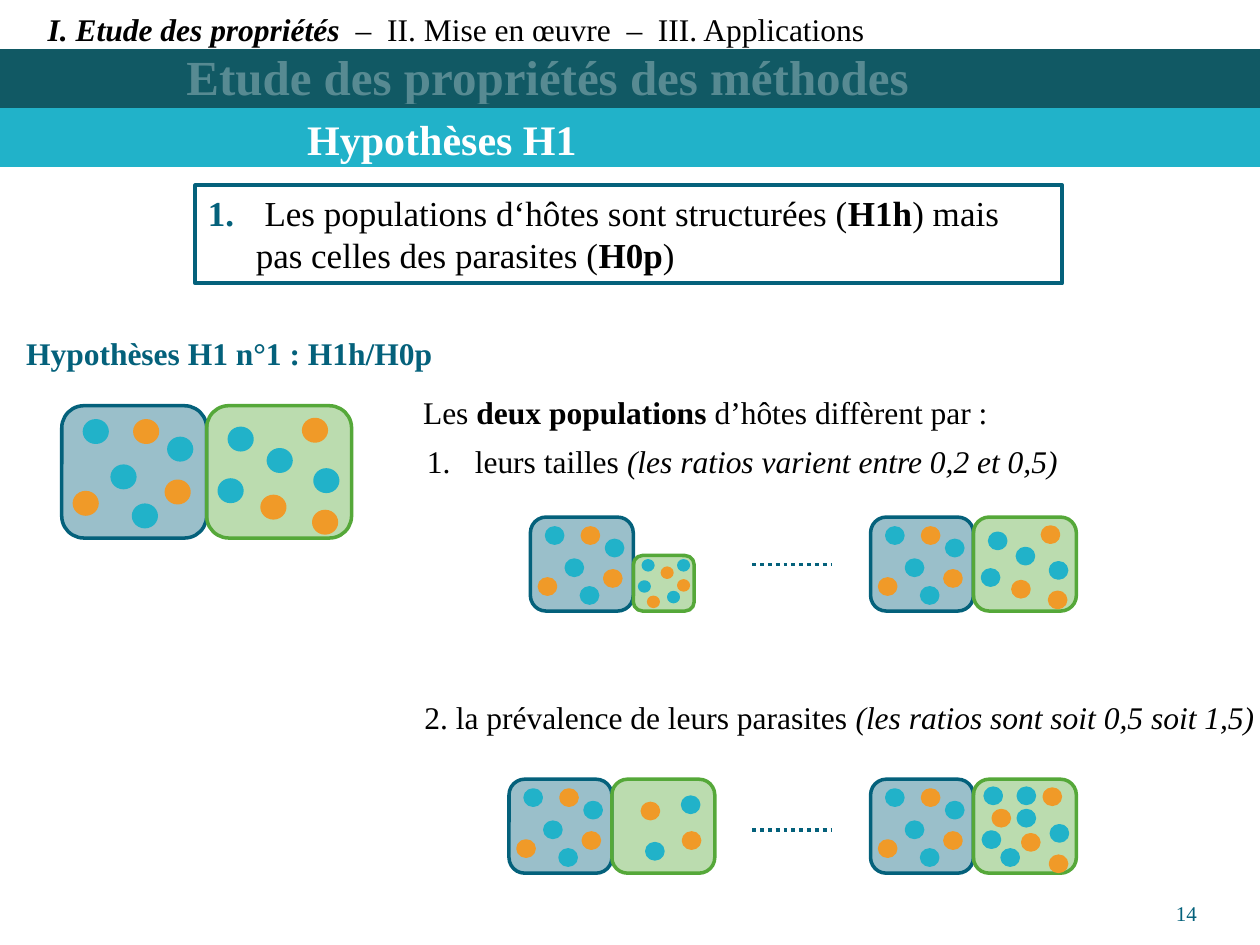
from lxml import etree
from pptx import Presentation
from pptx.dml.color import RGBColor
from pptx.enum.dml import MSO_LINE
from pptx.enum.shapes import MSO_CONNECTOR, MSO_SHAPE
from pptx.enum.text import MSO_ANCHOR, MSO_AUTO_SIZE, PP_ALIGN
from pptx.oxml.ns import qn
from pptx.util import Inches, Pt

RECTANGLE, ROUNDED, OVAL = MSO_SHAPE.RECTANGLE, MSO_SHAPE.ROUNDED_RECTANGLE, MSO_SHAPE.OVAL
TOP, BOTTOM = MSO_ANCHOR.TOP, MSO_ANCHOR.BOTTOM
LEFT, CENTER, RIGHT = PP_ALIGN.LEFT, PP_ALIGN.CENTER, PP_ALIGN.RIGHT
NO_AUTOFIT = MSO_AUTO_SIZE.NONE
STRAIGHT, DOTTED = MSO_CONNECTOR.STRAIGHT, MSO_LINE.ROUND_DOT

FONT = "Times New Roman"
BLACK = RGBColor(0x00, 0x00, 0x00)
WHITE = RGBColor(0xFF, 0xFF, 0xFF)
DARK_TEAL = RGBColor(0x11, 0x59, 0x64)
TURQUOISE = RGBColor(0x21, 0xB2, 0xC9)
BLUE = RGBColor(0x04, 0x61, 0x7B)
GREEN = RGBColor(0x55, 0xA8, 0x39)
ORANGE = RGBColor(0xF0, 0x9A, 0x28)


def paint(shape, color, opacity=100):
    shape.shadow.inherit = False
    shape.fill.solid()
    shape.fill.fore_color.rgb = color
    shape.line.color.rgb = color
    shape.line.width = Pt(2)
    if opacity < 100:
        fill_color = shape.fill._xPr.find(qn("a:solidFill"))[0]
        etree.SubElement(fill_color, qn("a:alpha")).set("val", str(opacity * 1000))


def write(shape, runs, size, align=LEFT, anchor=TOP, wrap=True):
    """Fill a shape with one paragraph of (text, colour, bold, italic) runs."""
    frame = shape.text_frame
    frame.auto_size = NO_AUTOFIT
    frame.word_wrap = wrap
    frame.vertical_anchor = anchor
    paragraph = frame.paragraphs[0]
    paragraph.alignment = align
    for text, color, bold, italic in runs:
        run = paragraph.add_run()
        run.text = text
        run.font.name = FONT
        run.font.size = Pt(size)
        run.font.color.rgb = color
        run.font.bold = bold
        run.font.italic = italic
    return paragraph


presentation = Presentation()
presentation.slide_width = Inches(10)
presentation.slide_height = Inches(7.5)
slide = presentation.slides.add_slide(presentation.slide_layouts[1])
shapes = slide.shapes
title, body = slide.placeholders

# Header bars: the title lies between the dark bar and its translucent veil
bars = []
for top, color, opacity in [(0.4, DARK_TEAL, 100), (0.87, TURQUOISE, 100), (0.4, DARK_TEAL, 70)]:
    bar = shapes.add_shape(RECTANGLE, Inches(0), Inches(top), Inches(10), Inches(0.44))
    paint(bar, color, opacity)
    bars.append(bar)
title._element.addprevious(bars[0]._element)

title.left, title.top, title.width, title.height = Inches(1.48), Inches(0.46), Inches(7.36), Inches(0.38)
frame = title.text_frame
frame.margin_left = frame.margin_right = frame.margin_bottom = 0
frame.margin_top = Inches(0.05)
write(title, [("Etude des propriétés des méthodes", WHITE, True, False)], 28, anchor=BOTTOM)

# Framed hypothesis
body.left, body.top, body.width, body.height = Inches(1.55), Inches(1.47), Inches(6.88), Inches(0.78)
body.line.color.rgb = BLUE
body.line.width = Pt(2.25)
hypothesis = write(body, [
    (" ", BLUE, True, False),
    ("Les populations d‘hôtes sont structurées (", BLACK, False, False),
    ("H1h", BLACK, True, False),
    (") mais pas celles des parasites (", BLACK, False, False),
    ("H0p", BLACK, True, False),
    (")", BLACK, False, False),
], 20)

# Text boxes: left, top, width, height, size, alignment, wrap, runs
texts = [
    (-0.02, -0.12, 10.01, 0.52, 18, LEFT, True, [
        ("I. Etude des propriétés  ", BLACK, True, True),
        ("–  II. Mise en œuvre  –  III. Applications", BLACK, False, False)]),
    (2.34, 0.85, 7.66, 0.51, 24, LEFT, True, [("Hypothèses H1", WHITE, True, False)]),
    (0.09, 2.6, 3.46, 0.4, 18, CENTER, False, [("Hypothèses H1 n°1 : H1h/H0p", BLUE, True, False)]),
    (3.26, 3.07, 4.73, 0.4, 18, LEFT, False, [
        ("Les ", BLACK, False, False),
        ("deux populations ", BLACK, True, False),
        ("d’hôtes diffèrent par :", BLACK, False, False)]),
    (3.29, 3.46, 6.79, 0.4, 18, LEFT, True, [
        ("leurs tailles ", BLACK, False, False),
        ("(les ratios varient entre 0,2 et 0,5)", BLACK, False, True)]),
    (3.27, 5.49, 6.86, 0.4, 18, LEFT, True, [
        ("2. la prévalence de leurs parasites ", BLACK, False, False),
        ("(les ratios sont soit 0,5 soit 1,5)", BLACK, False, True)]),
]
paragraphs = []
for left, top, width, height, size, align, wrap, runs in texts:
    box = shapes.add_textbox(Inches(left), Inches(top), Inches(width), Inches(height))
    paragraphs.append(write(box, runs, size, align, wrap=wrap))

outline, sizes = paragraphs[0], paragraphs[4]
outline.line_spacing = 1.5
outline.space_before = Pt(6)
outline._p.get_or_add_pPr().set("marL", str(Inches(0.3)))

# Automatic numbers
for paragraph in (hypothesis, sizes):
    properties = paragraph._p.get_or_add_pPr()
    properties.set("marL", str(Inches(0.38)))
    properties.set("indent", str(-Inches(0.38)))
    etree.SubElement(properties, qn("a:buFont")).set("typeface", "+mj-lt")
    etree.SubElement(properties, qn("a:buAutoNum")).set("type", "arabicPeriod")

# Parasites of each host population, placed in a full-size cell of 1.15 by 1.05
BLUE_HOSTS = {TURQUOISE: [(0.85, 0.26), (0.18, 0.12), (0.4, 0.48), (0.57, 0.79)],
              ORANGE: [(0.58, 0.12), (0.83, 0.6), (0.1, 0.69)]}
GREEN_HOSTS = {TURQUOISE: [(0.18, 0.18), (0.1, 0.59), (0.86, 0.51), (0.49, 0.35)],
               ORANGE: [(0.77, 0.11), (0.85, 0.84), (0.44, 0.72)]}
SMALL_HOSTS = {TURQUOISE: [(0.19, 0.1), (0.12, 0.5), (0.67, 0.7), (0.86, 0.1)],
               ORANGE: [(0.86, 0.48), (0.29, 0.79), (0.55, 0.24)]}
SPARSE_HOSTS = {TURQUOISE: [(0.39, 0.72), (0.79, 0.2)],
                ORANGE: [(0.8, 0.6), (0.34, 0.27)]}
DENSE_HOSTS = {TURQUOISE: [(0.13, 0.1), (0.11, 0.59), (0.87, 0.52), (0.5, 0.35), (0.5, 0.1), (0.32, 0.79)],
               ORANGE: [(0.79, 0.11), (0.86, 0.86), (0.55, 0.62), (0.22, 0.35)]}

# Pairs of populations: left, bottom, blue scale, green scale, green parasites
pairs = [
    (0.49, 4.27, 1, 1, GREEN_HOSTS),
    (4.21, 4.85, 0.71, 0.42, SMALL_HOSTS),
    (6.91, 4.85, 0.71, 0.71, GREEN_HOSTS),
    (4.04, 6.93, 0.71, 0.71, SPARSE_HOSTS),
    (6.91, 6.93, 0.71, 0.71, DENSE_HOSTS),
]
for pair_left, bottom, blue_scale, green_scale, green_parasites in pairs:
    group = shapes.add_group_shape()
    cells = [(pair_left, blue_scale, BLUE, BLUE_HOSTS),
             (pair_left + 1.15 * blue_scale, green_scale, GREEN, green_parasites)]
    for left, scale, color, parasites in cells:
        top = bottom - 1.05 * scale
        cell = group.shapes.add_shape(ROUNDED, Inches(left), Inches(top),
                                      Inches(1.15 * scale), Inches(1.05 * scale))
        paint(cell, color, 40)
        for dot_color, places in parasites.items():
            for x, y in places:
                dot = group.shapes.add_shape(OVAL, Inches(left + x * scale), Inches(top + y * scale),
                                             Inches(0.18 * scale), Inches(0.17 * scale))
                paint(dot, dot_color)

# Dotted links between the extreme cases
for y in (4.48, 6.59):
    link = shapes.add_connector(STRAIGHT, Inches(5.97), Inches(y), Inches(6.6), Inches(y))
    link.line.color.rgb = BLUE
    link.line.width = Pt(2.25)
    link.line.dash_style = DOTTED
    etree.SubElement(link._element.spPr, qn("a:effectLst"))

# Page number
number = shapes.add_textbox(Inches(8.67), Inches(6.95), Inches(0.83), Inches(0.4))
frame = number.text_frame
frame.margin_left = frame.margin_right = frame.margin_top = frame.margin_bottom = 0
write(number, [("14", BLUE, False, False)], 12, RIGHT, BOTTOM)

presentation.save("out.pptx")
